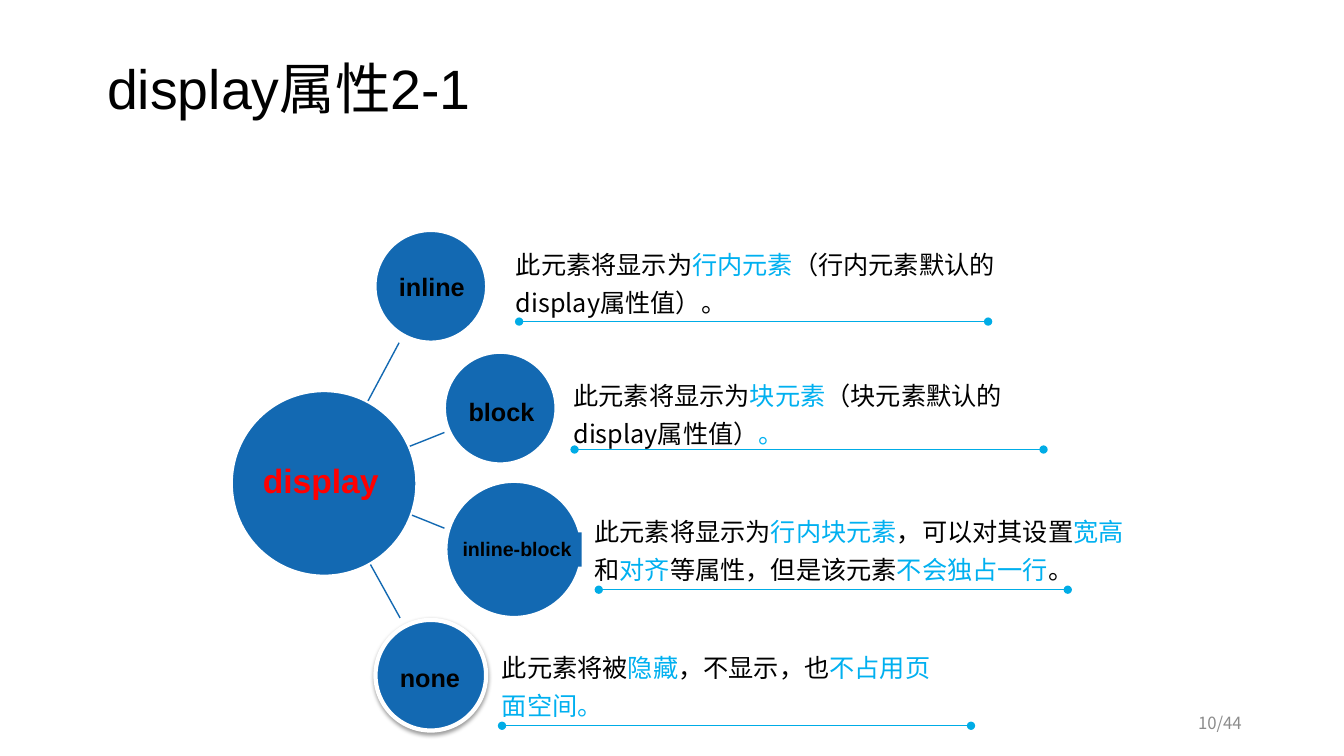
"""Build a slide that explains the values of the CSS display property."""
import pptx
import pptx.util
import pptx.dml.color
import pptx.enum.shapes
import pptx.enum.text
import pptx.oxml
import pptx.oxml.ns
from lxml import etree

Pt = pptx.util.Pt
qn = pptx.oxml.ns.qn
MIDDLE = pptx.enum.text.MSO_ANCHOR.MIDDLE
LATIN, HAN = "Arial", "Noto Sans CJK SC"
COLORS = {"disc": "1369B2", "rim": "FFFFFF", "text": "000000", "accent": "00B0F0",
          "underline": "00ACE6", "hub": "FF0000", "number": "8C8C8C"}

TITLE = "display属性2-1"
PAGE_NUMBER = "10/44"
HUB = {"name": "display", "disc": (165.6, 279.4, 131.8), "label": (180.7, 324.7, 97.9, 36),
       "size": 24, "color": "hub"}
VALUES = [
    {"name": "inline", "disc": (268.2, 165, 79), "label": (277.9, 190.1, 61.2, 28.8),
     "spoke": (257, 297.4, 285.1, 244.8), "note": (361.4, 169.2, 360), "underline": (370.8, 229.7),
     "runs": [("此元素将显示为", "text"), ("行内元素", "accent"),
              ("（行内元素默认的display属性值）。", "text")]},
    {"name": "block", "disc": (317.8, 252, 79), "label": (327.6, 279.4, 61.2, 28.8),
     "spoke": (277.9, 324.7, 317.5, 308.9), "note": (402.5, 262.8, 368.6), "underline": (410.4, 321.1),
     "runs": [("此元素将显示为", "text"), ("块元素", "accent"),
              ("（块元素默认的display属性值）", "text"), ("。", "accent")]},
    {"name": "inline-block", "disc": (318.9, 344.2, 96.5), "label": (323.3, 380.2, 92.2, 24.5),
     "size": 14,
     "spoke": (277.9, 361.4, 317.5, 377.3), "note": (417.6, 360, 403.2), "underline": (427.7, 421.2),
     "runs": [("此元素将显示为", "text"), ("行内块元素", "accent"), ("，可以对其设置", "text"),
              ("宽高", "accent"), ("和", "text"), ("对齐", "accent"),
              ("等属性，但是该元素", "text"), ("不会独占一行", "accent"), ("。", "text")]},
    {"name": "none", "disc": (268.2, 442.8, 79), "label": (278.6, 469.4, 57.6, 28.8),
     "rim": 3, "shadow": True,
     "spoke": (257, 389.5, 285.8, 441.4), "note": (351.4, 457.2, 324.7), "underline": (358.6, 518.4),
     "runs": [("此元素将被", "text"), ("隐藏", "accent"), ("，不显示，也", "text"),
              ("不占用页面空间。", "accent")]},
]
UNDERLINE_LENGTH = 335
NOTE_HEIGHT = 61.9


def rgb(color):
    return pptx.dml.color.RGBColor.from_string(COLORS[color])


def write(shape, runs, size=18, font=HAN, bold=False, spacing=1.0, align="LEFT", wrap=True, anchor=None):
    frame = shape.text_frame
    frame.word_wrap = wrap
    frame.auto_size = pptx.enum.text.MSO_AUTO_SIZE.NONE
    if anchor is not None:
        frame.vertical_anchor = anchor
    paragraph = frame.paragraphs[0]
    paragraph.alignment = getattr(pptx.enum.text.PP_ALIGN, align)
    paragraph.line_spacing = spacing
    for words, color in runs:
        run = paragraph.add_run()
        run.text = words
        run.font.size, run.font.bold, run.font.name = Pt(size), bold, font
        run.font.color.rgb = rgb(color)
        etree.SubElement(run.font._element, qn("a:ea")).set("typeface", HAN)


def add_box(left, top, width, height):
    return slide.shapes.add_textbox(Pt(left), Pt(top), Pt(width), Pt(height))


def add_line(x1, y1, x2, y2, color, dots=False):
    line = slide.shapes.add_connector(pptx.enum.shapes.MSO_CONNECTOR.STRAIGHT,
                                      Pt(x1), Pt(y1), Pt(x2), Pt(y2))
    line.line.color.rgb = rgb(color)
    line.line.width = Pt(1)
    if dots:
        for end in ("a:headEnd", "a:tailEnd"):
            etree.SubElement(line.line._get_or_add_ln(), qn(end)).set("type", "oval")
    etree.SubElement(line._element.spPr, qn("a:effectLst"))


def add_disc(item):
    left, top, diameter = item["disc"]
    disc = slide.shapes.add_shape(pptx.enum.shapes.MSO_SHAPE.OVAL,
                                  Pt(left), Pt(top), Pt(diameter), Pt(diameter))
    disc.fill.solid()
    disc.fill.fore_color.rgb = rgb("disc")
    disc.line.color.rgb = rgb("rim")
    disc.line.width = Pt(item.get("rim", 1.5))
    disc.shadow.inherit = False
    if item.get("shadow"):
        effects = disc._element.spPr.find(qn("a:effectLst"))
        shade = etree.SubElement(effects, qn("a:outerShdw"), blurRad=str(Pt(3.1)),
                                 dist=str(Pt(1.6)), dir="5400000", rotWithShape="0")
        black = etree.SubElement(shade, qn("a:srgbClr"), val=COLORS["text"])
        etree.SubElement(black, qn("a:alpha"), val="38000")
    label = add_box(*item["label"])
    label.fill.solid()
    label.fill.fore_color.rgb = rgb("disc")
    write(label, [(item["name"], item.get("color", "text"))], size=item.get("size", 18),
          font=LATIN, bold=True, wrap=False)


deck = pptx.Presentation()
deck.slide_width, deck.slide_height = Pt(960), Pt(540)
slide = deck.slides.add_slide(deck.slide_layouts[5])

title = slide.shapes.title
title.left, title.top, title.width, title.height = Pt(58.3), Pt(25.2), Pt(346.3), Pt(65.5)
title.text_frame.margin_left = Pt(18.2)
write(title, [(TITLE, "text")], size=39.6, font=LATIN, spacing=1.2, anchor=MIDDLE)

for value in VALUES:
    add_line(*value["spoke"], "disc")
for item in [HUB] + VALUES:
    add_disc(item)
for value in VALUES:
    x, y = value["underline"]
    add_line(x, y, x + UNDERLINE_LENGTH, y, "underline", dots=True)
    write(add_box(*value["note"], NOTE_HEIGHT), value["runs"], spacing=1.25)

write(add_box(678.2, 500.4, 216, 28.8), [(PAGE_NUMBER, "number")], size=12, spacing=1.2,
      align="RIGHT", anchor=MIDDLE)

deck.save("out.pptx")
